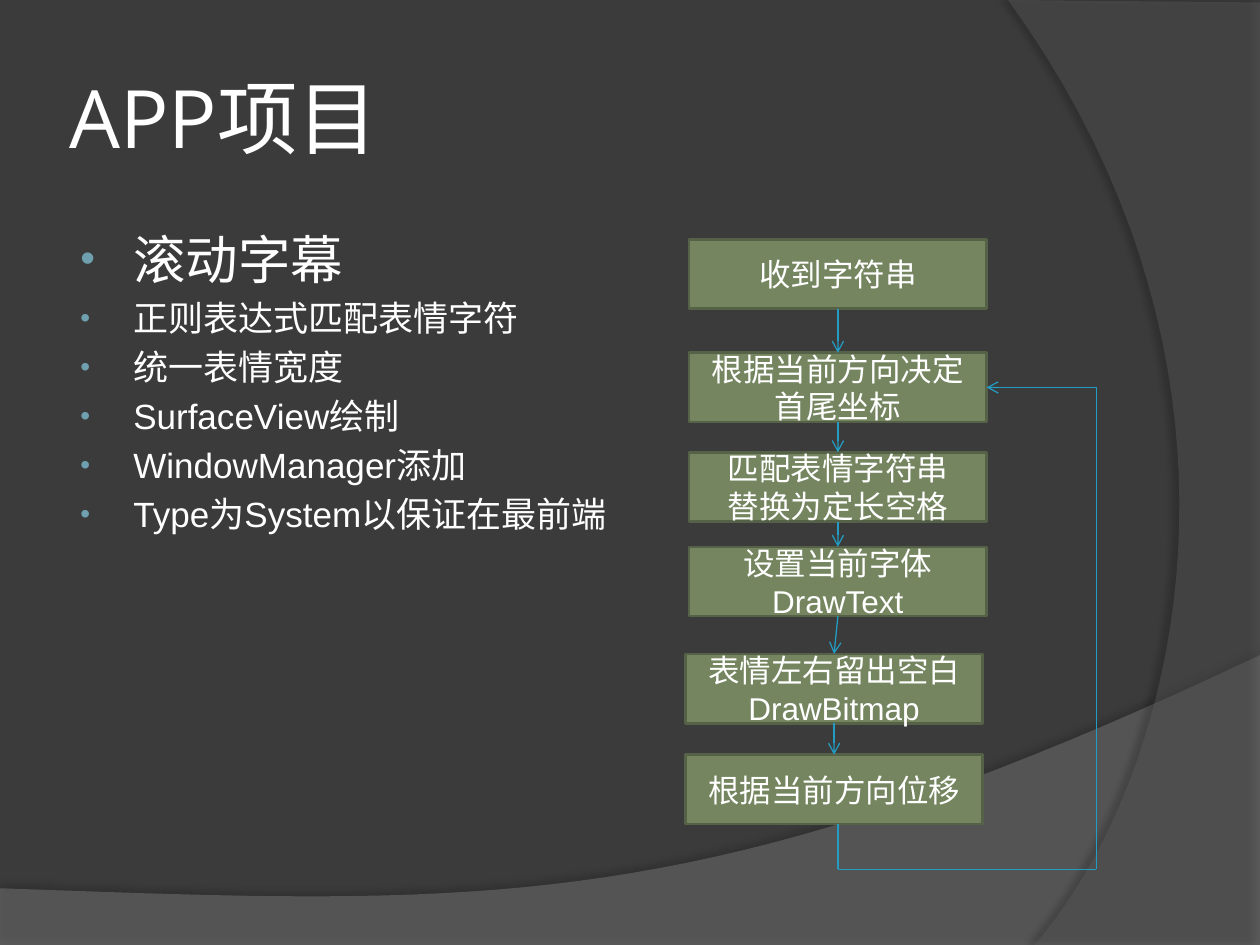
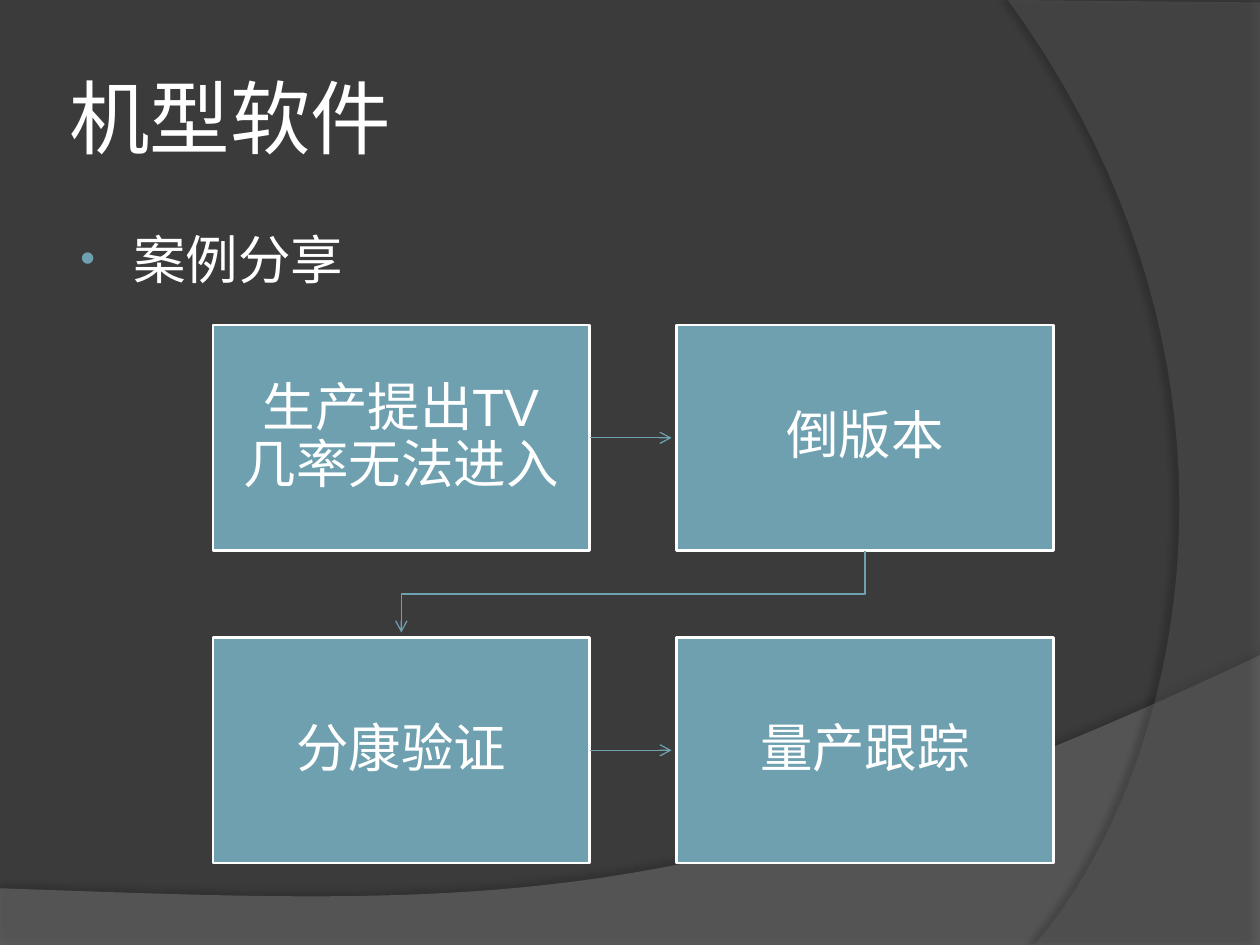
import pptx
import pptx.util
import pptx.dml.color
import pptx.enum.shapes
import pptx.enum.text
import pptx.oxml
import pptx.oxml.ns
import lxml.etree

Inches = pptx.util.Inches
Pt = pptx.util.Pt
RGBColor = pptx.dml.color.RGBColor
qn = pptx.oxml.ns.qn
MSO_SHAPE = pptx.enum.shapes.MSO_SHAPE
STRAIGHT = pptx.enum.shapes.MSO_CONNECTOR.STRAIGHT
MIDDLE = pptx.enum.text.MSO_ANCHOR.MIDDLE
PP_ALIGN = pptx.enum.text.PP_ALIGN

CHARCOAL = RGBColor(0x3B, 0x3B, 0x3B)
WAVE_GRAY = RGBColor(0x7F, 0x7F, 0x7F)
ARC_GRAY = RGBColor(0x5E, 0x5E, 0x5E)
WHITE = RGBColor(0xFF, 0xFF, 0xFF)
OLIVE = RGBColor(0x74, 0x85, 0x60)
DARK_OLIVE = RGBColor(0x56, 0x62, 0x47)
CYAN = RGBColor(0x23, 0x9B, 0xC2)
TEAL = RGBColor(0x6E, 0xA0, 0xB0)
TITLE_FONT = "Open Sans"
BODY_FONT = "Arial"
TOP, BOTTOM, RIGHT = 0, 2, 3

TITLE_BOX = (0.5, 0.3, 8.17, 1.25)
BODY_BOX = (0.5, 1.75, 8.17, 4.95)


def add_xml(parent, tag, **attributes):
    return lxml.etree.SubElement(parent, qn(tag), **attributes)


def style_text(paragraph, font_name, size):
    for run in paragraph.runs:
        run.font.name = font_name
        run.font.size = Pt(size)
        run.font.color.rgb = WHITE


def cubic(start, control_1, control_2, end, steps=40):
    points = []
    for step in range(1, steps + 1):
        t = step / steps
        weights = ((1 - t) ** 3, 3 * t * (1 - t) ** 2, 3 * t * t * (1 - t), t ** 3)
        anchors = (start, control_1, control_2, end)
        points.append(tuple(sum(w * a[axis] for w, a in zip(weights, anchors)) for axis in (0, 1)))
    return points


def outline(slide, points, close):
    corners = [(Inches(x), Inches(y)) for x, y in points]
    builder = slide.shapes.build_freeform(*corners[0])
    builder.add_line_segments(corners[1:], close=close)
    shape = builder.convert_to_shape()
    shape.shadow.inherit = False
    return shape


def add_band(slide, points, color, opacity, shadow_opacity, distance, direction):
    band = outline(slide, points, True)
    band.fill.solid()
    band.fill.fore_color.rgb = color
    band.line.fill.background()
    properties = band.element.spPr
    add_xml(properties.find(qn("a:solidFill"))[0], "a:alpha", val=str(opacity * 1000))
    shadow = add_xml(properties.find(qn("a:effectLst")), "a:outerShdw",
                     blurRad=str(Pt(4)), dist=str(Pt(distance)),
                     dir=str(direction * 60000), algn="ctr", rotWithShape="0")
    shade = add_xml(shadow, "a:srgbClr", val="000000")
    add_xml(shade, "a:alpha", val=str(shadow_opacity * 1000))
    return band


def share_bands(slide):
    wave = [(0, 7.05), (0, 7.5), (10, 7.5), (10, 5.2)]
    wave += cubic((10, 5.2), (5.59, 7.29), (3.91, 7.19), (0, 7.05))
    arc = [(10, 0.02), (10, 7.5), (8.21, 7.5)]
    arc += cubic((8.21, 7.5), (9.35, 6.19), (10.18, 3), (8, 0))
    bands = [add_band(slide, wave, WAVE_GRAY, 45, 35, 3.5, 270),
             add_band(slide, arc, ARC_GRAY, 40, 45, 4, 180)]
    layout_tree = slide.slide_layout.shapes.element
    for position, band in enumerate(bands, start=2):
        layout_tree.insert(position, band.element)


def add_title(slide, text, box):
    title = slide.shapes.title
    title.left, title.top, title.width, title.height = map(Inches, box)
    frame = title.text_frame
    frame.text = text
    frame.vertical_anchor = MIDDLE
    frame.margin_left = frame.margin_right = Inches(0.05)
    frame.margin_top = frame.margin_bottom = Inches(0.05)
    frame.paragraphs[0].alignment = PP_ALIGN.LEFT
    style_text(frame.paragraphs[0], TITLE_FONT, 46)


def add_bullets(slide, heading, points, box):
    frame = slide.shapes.add_textbox(*map(Inches, box)).text_frame
    frame.word_wrap = True
    frame.text = "\n".join([heading] + points)
    for index, paragraph in enumerate(frame.paragraphs):
        size = 20 if index else 30
        style_text(paragraph, BODY_FONT, size)
        paragraph.space_before = Pt(size * 0.2)
        properties = paragraph._p.get_or_add_pPr()
        properties.set("marL", str(Inches(0.46)))
        properties.set("indent", str(Inches(-0.42)))
        bullet_color = add_xml(properties, "a:buClr")
        add_xml(bullet_color, "a:srgbClr", val=str(TEAL))
        add_xml(properties, "a:buSzPct", val="80000")
        add_xml(properties, "a:buFont", typeface=BODY_FONT)
        add_xml(properties, "a:buChar", char="•")


def add_step(slide, kind, text, box, fill, border, size, margin=None, spacing=None):
    step = slide.shapes.add_shape(kind, *map(Inches, box))
    step.shadow.inherit = False
    step.fill.solid()
    step.fill.fore_color.rgb = fill
    step.line.color.rgb = border
    step.line.width = Pt(1.5)
    frame = step.text_frame
    frame.text = text
    frame.word_wrap = True
    frame.vertical_anchor = MIDDLE
    if margin is not None:
        frame.margin_left = frame.margin_right = Inches(margin)
        frame.margin_top = frame.margin_bottom = Inches(margin)
    for paragraph in frame.paragraphs:
        paragraph.alignment = PP_ALIGN.CENTER
        paragraph.line_spacing = spacing
        style_text(paragraph, BODY_FONT, size)
    return step


def style_line(line, color, arrow):
    line.line.color.rgb = color
    line.line.width = Pt(0.75)
    if arrow:
        add_xml(line.get_or_add_ln(), "a:tailEnd", type="arrow")


def add_line(slide, start, end, color, arrow=True):
    line = slide.shapes.add_connector(STRAIGHT, *map(Inches, start + end))
    style_line(line, color, arrow)
    add_xml(line.element.spPr, "a:effectLst")
    return line


def add_flowchart(slide, box):
    left, top, width, height = box
    step_width, step_height = 2.36, 0.55
    steps = [
        ("收到字符串", 0.03, 0),
        ("根据当前方向决定首尾坐标", 0.03, 0.9),
        ("匹配表情字符串\n替换为定长空格", 0.03, 1.69),
        ("设置当前字体\nDrawText", 0.03, 2.44),
        ("表情左右留出空白DrawBitmap", 0, 3.29),
        ("根据当前方向位移", 0, 4.09),
    ]
    shapes = [add_step(slide, MSO_SHAPE.FLOWCHART_PROCESS, text,
                       (left + shift, top + drop, step_width, step_height),
                       OLIVE, DARK_OLIVE, 18)
              for text, shift, drop in steps]
    for upper, lower in zip(shapes, shapes[1:]):
        arrow = add_line(slide, (0, 0), (0, 0), CYAN)
        arrow.begin_connect(upper, BOTTOM)
        arrow.end_connect(lower, TOP)

    center = left + 0.03 + step_width / 2
    right, bottom = left + width, top + height
    return_height = top + 0.9 + step_height / 2
    loop = [(center, top + 4.09 + step_height), (center, bottom), (right, bottom),
            (right, return_height), (left + 0.03 + step_width, return_height)]
    segments = [add_line(slide, start, end, CYAN, arrow=end == loop[-1])
                for start, end in zip(loop, loop[1:])]
    segments[-1].end_connect(shapes[1], RIGHT)


def add_case_process(slide, steps, box):
    left, top, width, height = box
    step_width, step_height, clearance = 2.99, 1.79, 0.04
    lefts = (left, left + width - step_width)
    tops = (top, top + height - step_height)
    for index, text in enumerate(steps):
        row, column = divmod(index, 2)
        add_step(slide, MSO_SHAPE.RECTANGLE, text,
                 (lefts[column], tops[row], step_width, step_height),
                 TEAL, WHITE, 30, margin=0.23, spacing=0.9)
    for row_top in tops:
        middle = row_top + step_height / 2
        add_line(slide, (left + step_width, middle), (lefts[1] - clearance, middle), TEAL)

    first_center, second_center = (x + step_width / 2 for x in lefts)
    row_end = top + step_height
    turn = (row_end + tops[1]) / 2
    elbow = outline(slide, [(second_center, row_end), (second_center, turn),
                            (first_center, turn), (first_center, tops[1] - clearance)], False)
    elbow.fill.background()
    style_line(elbow, TEAL, True)


def add_content_slide(deck, title, heading, points):
    slide = deck.slides.add_slide(deck.slide_layouts[5])
    add_title(slide, title, TITLE_BOX)
    add_bullets(slide, heading, points, BODY_BOX)
    return slide


deck = pptx.Presentation()
deck.slide_width, deck.slide_height = Inches(10), Inches(7.5)
backdrop = deck.slide_master.background.fill
backdrop.solid()
backdrop.fore_color.rgb = CHARCOAL

app_slide = add_content_slide(deck, "APP项目", "滚动字幕", [
    "正则表达式匹配表情字符",
    "统一表情宽度",
    "SurfaceView绘制",
    "WindowManager添加",
    "Type为System以保证在最前端",
])
share_bands(app_slide)
add_flowchart(app_slide, (5.44, 1.9, 3.26, 5))

case_slide = add_content_slide(deck, "机型软件", "案例分享", [])
add_case_process(case_slide, ["生产提出TV几率无法进入", "倒版本", "分康验证", "量产跟踪"],
                 (1.69, 2.58, 6.67, 4.27))

deck.save("out.pptx")
